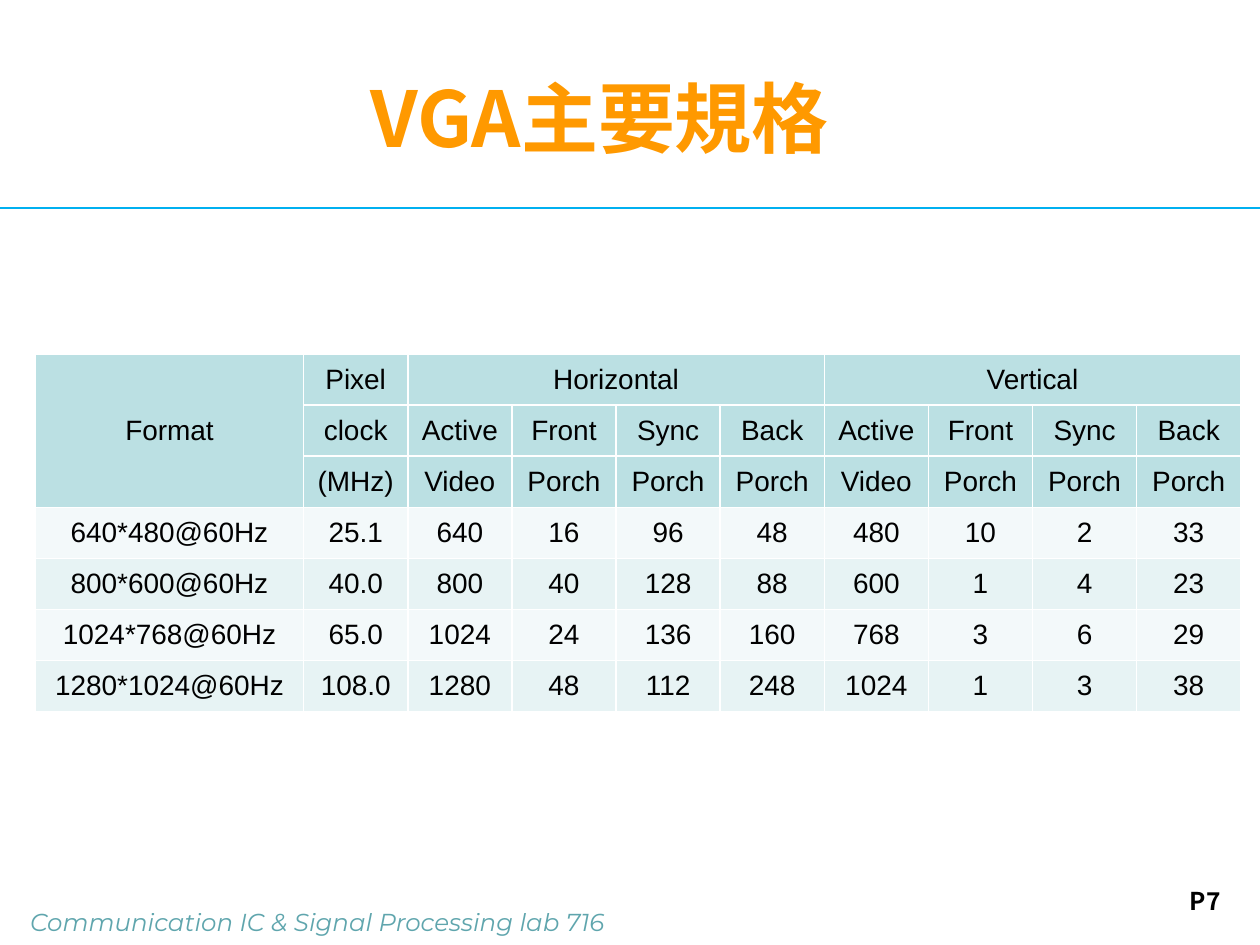
from dataclasses import dataclass

from lxml.etree import SubElement
from pptx import Presentation
from pptx.dml.color import RGBColor
from pptx.enum.shapes import MSO_CONNECTOR as Connector
from pptx.enum.text import MSO_ANCHOR as Anchor, PP_ALIGN as Align
from pptx.oxml import parse_xml
from pptx.oxml.ns import nsdecls, qn
from pptx.util import Inches, Pt

COLORS = {
    "title": "FF9900",
    "rule": "00B0F0",
    "footer": "4597A0",
    "text": "000000",
    "header": "BBE0E3",
    "odd": "F3F9FA",
    "even": "E7F3F4",
    "border": "FFFFFF",
}
CJK_FONT = "Noto Sans CJK SC"
HEADER_ROWS = 3
TIMINGS = [
    ["Format", "Pixel", "Horizontal", "", "", "", "Vertical", "", "", ""],
    ["", "clock"] + ["Active", "Front", "Sync", "Back"] * 2,
    ["", "(MHz)"] + ["Video", "Porch", "Porch", "Porch"] * 2,
    ["640*480@60Hz", "25.1", "640", "16", "96", "48", "480", "10", "2", "33"],
    ["800*600@60Hz", "40.0", "800", "40", "128", "88", "600", "1", "4", "23"],
    ["1024*768@60Hz", "65.0", "1024", "24", "136", "160", "768", "3", "6", "29"],
    ["1280*1024@60Hz", "108.0", "1280", "48", "112", "248", "1024", "1", "3", "38"],
]


@dataclass
class Label:
    text: str
    left: float
    top: float
    width: float
    height: float
    font: str
    size: float
    color: str = "text"
    bold: bool = False
    italic: bool = False
    align: Align = Align.CENTER
    anchor: Anchor = Anchor.TOP
    opacity: int = 100


@dataclass
class Merge:
    row: int
    column: int
    last_row: int
    last_column: int


LABELS = [
    Label("P7", 9.13, 6.98, 0.87, 0.52, CJK_FONT, 14, bold=True),
    Label("Communication IC & Signal Processing lab 716", 0.14, 7.15, 8.25, 0.34,
          "Montserrat", 14, "footer", italic=True, align=Align.LEFT, opacity=85),
    Label("VGA主要規格", 0.5, 0.3, 8.52, 1.25, CJK_FONT, 44, "title", bold=True,
          anchor=Anchor.MIDDLE),
]
MERGES = [Merge(0, 0, 2, 0), Merge(0, 2, 0, 5), Merge(0, 6, 0, 9)]


def rgb(name: str) -> RGBColor:
    return RGBColor.from_string(COLORS[name])


def write_text(frame, text: str, *, font: str, size: float, color: str = "text",
               bold: bool = False, italic: bool = False,
               align: Align = Align.CENTER, opacity: int = 100) -> None:
    paragraph = frame.paragraphs[0]
    paragraph.alignment = align
    run = paragraph.add_run()
    run.text = text
    run.font.name = font
    run.font.size = Pt(size)
    run.font.bold = bold
    run.font.italic = italic
    run.font.color.rgb = rgb(color)
    properties = run.font._element
    properties.find(qn("a:latin")).addnext(
        parse_xml(f'<a:ea {nsdecls("a")} typeface="{font}"/>'))
    if opacity < 100:
        tint = properties.find(qn("a:solidFill")).find(qn("a:srgbClr"))
        SubElement(tint, qn("a:alpha")).set("val", str(opacity * 1000))


def add_label(slide, label: Label) -> None:
    frame = slide.shapes.add_textbox(
        Inches(label.left), Inches(label.top),
        Inches(label.width), Inches(label.height)).text_frame
    frame.word_wrap = True
    frame.vertical_anchor = label.anchor
    write_text(frame, label.text, font=label.font, size=label.size,
               color=label.color, bold=label.bold, italic=label.italic,
               align=label.align, opacity=label.opacity)


def add_rule(slide, top: float) -> None:
    rule = slide.shapes.add_connector(
        Connector.STRAIGHT, Inches(0), Inches(top), Inches(10), Inches(top))
    rule.line.color.rgb = rgb("rule")
    rule.line.width = Pt(0.75)
    SubElement(rule._element.spPr, qn("a:effectLst"))


def style_cell(cell, fill: str) -> None:
    cell.fill.solid()
    cell.fill.fore_color.rgb = rgb(fill)
    cell.vertical_anchor = Anchor.MIDDLE
    properties = cell._tc.get_or_add_tcPr()
    for position, side in enumerate(("lnL", "lnR", "lnT", "lnB")):
        properties.insert(position, parse_xml(
            f'<a:{side} {nsdecls("a")} w="{Pt(1)}"><a:solidFill>'
            f'<a:srgbClr val="{COLORS["border"]}"/></a:solidFill></a:{side}>'))


def add_timing_table(slide, left: float, top: float, width: float, height: float,
                     format_width: float) -> None:
    row_count, column_count = len(TIMINGS), len(TIMINGS[0])
    table = slide.shapes.add_table(
        row_count, column_count, Inches(left), Inches(top),
        Inches(width), Inches(height)).table
    value_width = (width - format_width) / (column_count - 1)
    for index, column in enumerate(table.columns):
        column.width = Inches(value_width if index else format_width)
    for row_index, (row, values) in enumerate(zip(table.rows, TIMINGS)):
        row.height = Inches(height / row_count)
        band = "odd" if row_index % 2 else "even"
        fill = "header" if row_index < HEADER_ROWS else band
        for cell, value in zip(row.cells, values):
            style_cell(cell, fill)
            if value:
                write_text(cell.text_frame, value, font="Arial", size=16)
    for merge in MERGES:
        table.cell(merge.row, merge.column).merge(
            table.cell(merge.last_row, merge.last_column))


def main() -> None:
    presentation = Presentation()
    presentation.slide_width = Inches(10)
    presentation.slide_height = Inches(7.5)
    slide = presentation.slides.add_slide(presentation.slide_layouts[6])
    add_rule(slide, 1.65)
    for label in LABELS:
        add_label(slide, label)
    add_timing_table(slide, 0.28, 2.81, 9.57, 2.84, format_width=2.13)
    presentation.save("out.pptx")


if __name__ == "__main__":
    main()
